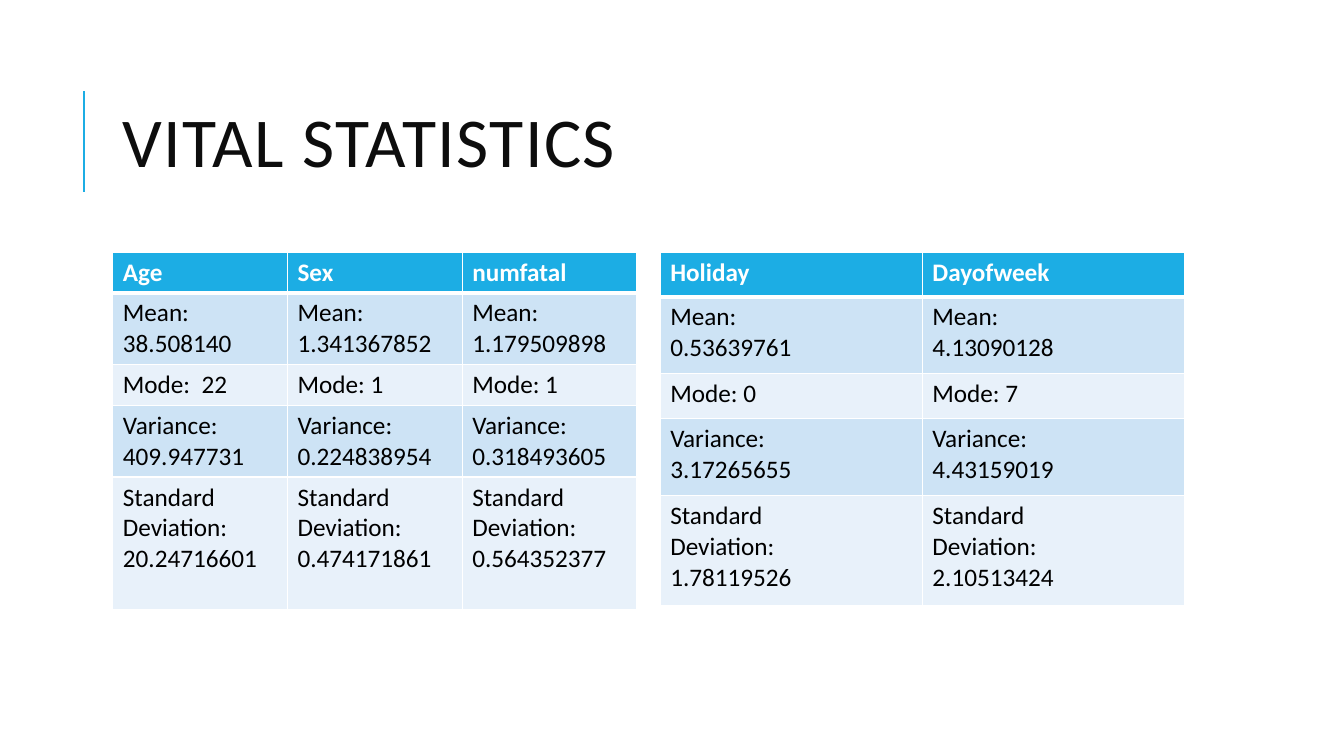
from lxml import etree
from pptx import Presentation
from pptx.dml.color import RGBColor
from pptx.enum import shapes, text
from pptx.oxml import ns
from pptx.util import Pt

COLORS = {
    "accent": "1CADE4",
    "title": "0D0D0D",
    "header_text": "FFFFFF",
    "body_text": "000000",
    "border": "FFFFFF",
    "band_dark": "CDE3F5",
    "band_light": "E8F1FA",
}
FONT = "Calibri"
TABLE_TOP, TABLE_WIDTH = 180, 374.4

# Each string is one cell; a line break starts a new paragraph.
PERSON_STATS = [
    ["Age", "Sex", "numfatal"],
    ["Mean: 38.508140", "Mean: 1.341367852", "Mean: 1.179509898"],
    ["Mode:  22", "Mode: 1", "Mode: 1"],
    ["Variance: 409.947731", "Variance: 0.224838954", "Variance: 0.318493605"],
    ["Standard Deviation: 20.24716601", "Standard Deviation: 0.474171861",
     "Standard Deviation: 0.564352377"],
]
DAY_STATS = [
    ["Holiday", "Dayofweek"],
    ["Mean:\n0.53639761", "Mean:\n4.13090128"],
    ["Mode: 0", "Mode: 7"],
    ["Variance:\n3.17265655", "Variance:\n4.43159019"],
    ["Standard\nDeviation:\n1.78119526", "Standard\nDeviation:\n2.10513424"],
]


def rgb(name):
    return RGBColor.from_string(COLORS[name])


def write_text(tf, content, size=18, color="body_text", bold=False, spacing=0):
    """Fill a text frame, one paragraph per line of content."""
    for i, line in enumerate(content.split("\n")):
        p = tf.paragraphs[0] if i == 0 else tf.add_paragraph()
        p.alignment = text.PP_ALIGN.LEFT
        r = p.add_run()
        r.text = line
        r.font.name, r.font.size, r.font.bold = FONT, Pt(size), bold
        r.font.color.rgb = rgb(color)
        if spacing:
            r.font._element.set("spc", str(spacing * 100))


def add_title(s, content):
    sp = s.shapes.title
    sp.left, sp.top, sp.width, sp.height = Pt(80.6), Pt(46), Pt(765.4), Pt(118)
    tf = sp.text_frame
    tf.vertical_anchor = text.MSO_ANCHOR.MIDDLE
    tf.auto_size = text.MSO_AUTO_SIZE.NONE
    write_text(tf, content, size=50, color="title", spacing=1)
    tf.paragraphs[0].line_spacing = 0.8


def add_rule(s, x, top, bottom):
    line = s.shapes.add_connector(
        shapes.MSO_CONNECTOR.STRAIGHT, Pt(x), Pt(bottom), Pt(x), Pt(top))
    line.line.color.rgb = rgb("accent")
    line.line.width = Pt(1.5)
    etree.SubElement(line._element.spPr, ns.qn("a:effectLst"))


def set_borders(cell, bottom_width):
    tc_pr = cell._tc.get_or_add_tcPr()
    for side, width in (("L", 1), ("R", 1), ("T", 1), ("B", bottom_width)):
        ln = etree.SubElement(tc_pr, ns.qn("a:ln" + side), w=str(Pt(width)))
        fill = etree.SubElement(ln, ns.qn("a:solidFill"))
        etree.SubElement(fill, ns.qn("a:srgbClr"), val=COLORS["border"])


def add_stats_table(s, left, rows, heights):
    n_cols = len(rows[0])
    frame = s.shapes.add_table(len(rows), n_cols, Pt(left), Pt(TABLE_TOP),
                               Pt(TABLE_WIDTH), Pt(sum(heights)))
    table = frame.table
    for col in table.columns:
        col.width = Pt(TABLE_WIDTH / n_cols)
    for i, (row, height) in enumerate(zip(rows, heights)):
        table.rows[i].height = Pt(height)
        header = i == 0
        band = "accent" if header else "band_dark" if i % 2 else "band_light"
        for j, content in enumerate(row):
            cell = table.cell(i, j)
            # Borders go before the fill in the cell properties
            set_borders(cell, bottom_width=3 if header else 1)
            cell.fill.solid()
            cell.fill.fore_color.rgb = rgb(band)
            write_text(cell.text_frame, content, bold=header,
                       color="header_text" if header else "body_text")


def main():
    prs = Presentation()
    prs.slide_width, prs.slide_height = Pt(960), Pt(540)
    s = prs.slides.add_slide(prs.slide_layouts[5])

    # Heading
    add_rule(s, 60, top=65, bottom=137)
    add_title(s, "VITAL STATISTICS")

    # Statistics, side by side
    add_stats_table(s, 80.6, PERSON_STATS, [29.2, 51, 29.2, 51, 95])
    add_stats_table(s, 471.6, DAY_STATS, [32, 55, 32, 55, 78.5])

    prs.save("out.pptx")


main()
